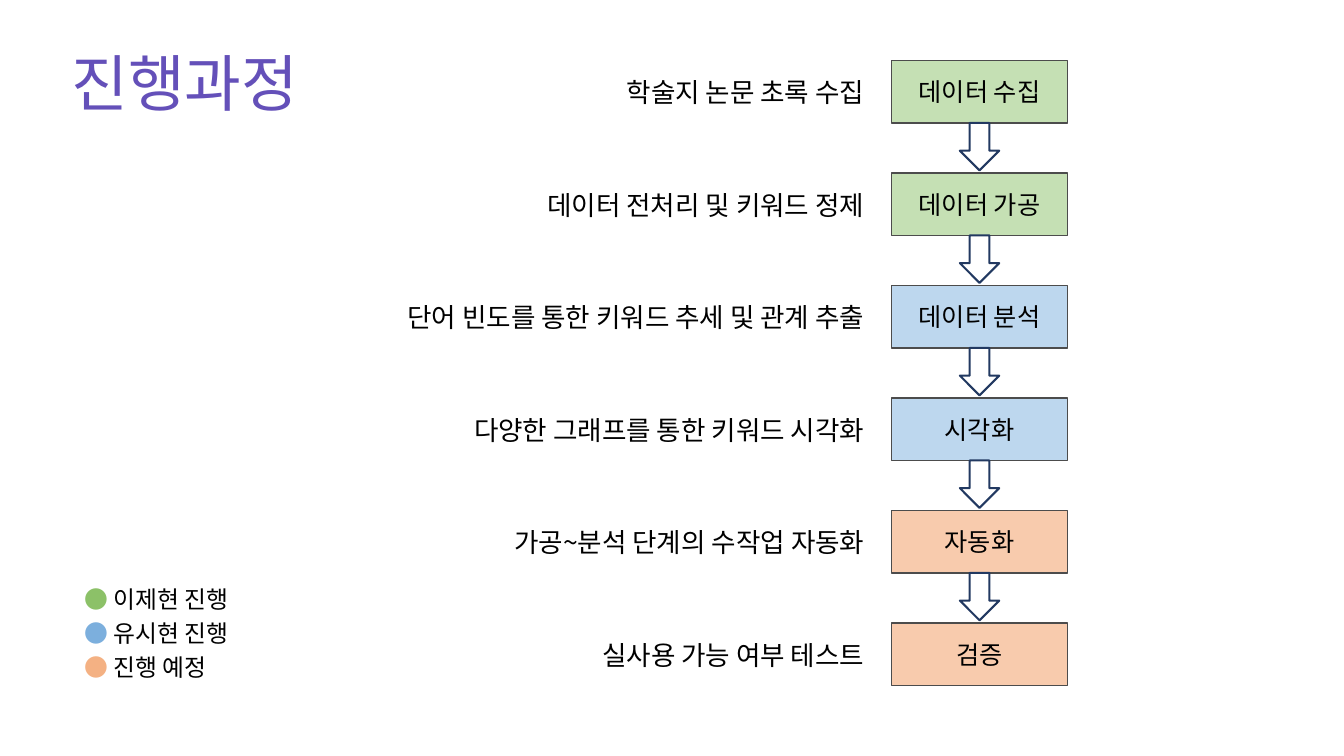
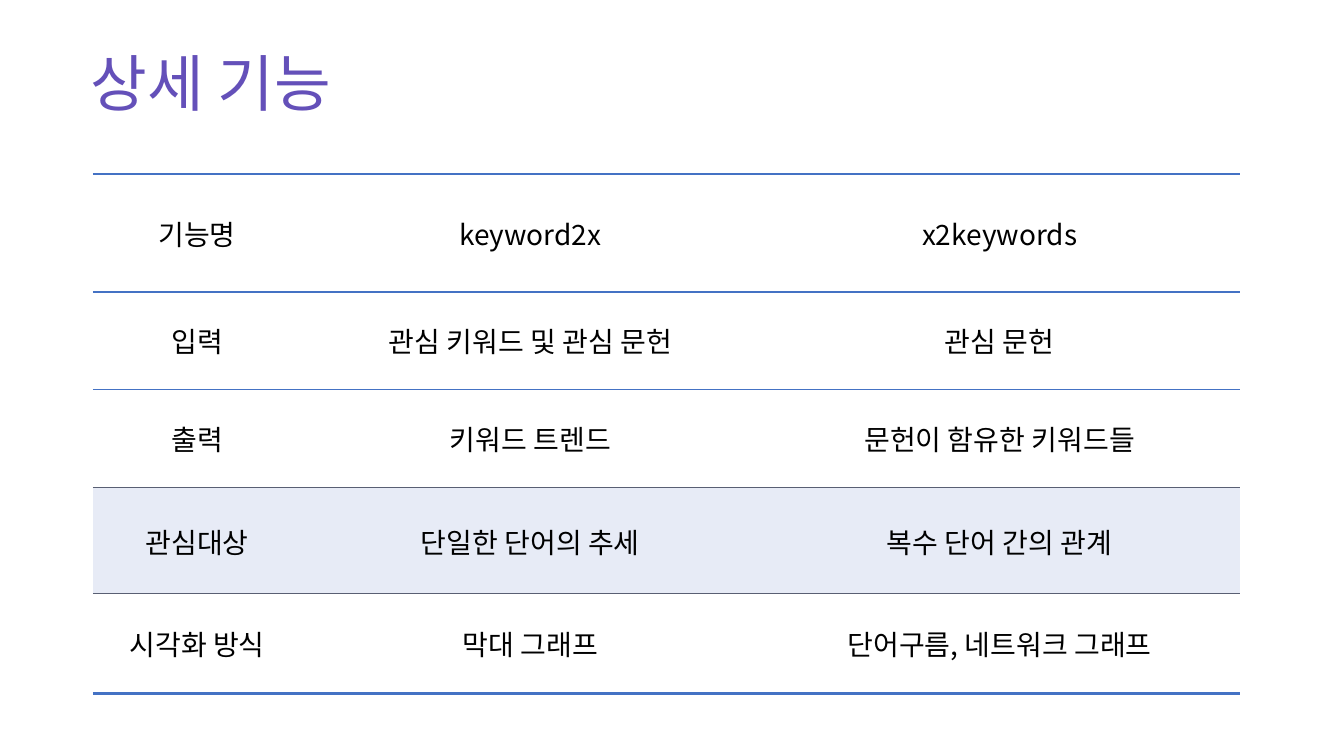
from dataclasses import dataclass
from typing import Optional

import pptx
import pptx.dml.color
import pptx.enum.shapes
import pptx.enum.text
import pptx.oxml
import pptx.oxml.ns
import pptx.util
from lxml import etree

Inches = pptx.util.Inches
Pt = pptx.util.Pt
ALIGN = pptx.enum.text.PP_ALIGN
ANCHOR = pptx.enum.text.MSO_ANCHOR
SHAPE = pptx.enum.shapes.MSO_SHAPE
qn = pptx.oxml.ns.qn


@dataclass(frozen=True)
class Theme:
    font: str = "Noto Sans CJK KR"
    title: str = "6450B9"
    text: str = "000000"
    white: str = "FFFFFF"
    green: str = "C5E0B4"
    blue: str = "BDD7EE"
    orange: str = "F8CBAD"
    green_dot: str = "8CC168"
    blue_dot: str = "7CAFDD"
    orange_dot: str = "F4B183"
    box_line: str = "4C4C4C"
    arrow_line: str = "223961"
    rule: str = "4472C4"
    dark_rule: str = "595F73"
    highlight: str = "E7EBF6"
    title_size: int = 44
    table_size: int = 20
    label_size: int = 19
    box_size: int = 18
    legend_size: int = 17


@dataclass(frozen=True)
class Step:
    name: str
    detail: str
    fill: str


@dataclass(frozen=True)
class LegendItem:
    colour: str
    text: str


@dataclass(frozen=True)
class Rule:
    colour: str
    width: float


@dataclass(frozen=True)
class Row:
    height: float
    texts: tuple[str, ...]
    top: Rule
    bottom: Rule
    fill: Optional[str] = None


T = Theme()

# Process steps and their layout
STEPS = (
    Step("데이터 수집", "학술지 논문 초록 수집", T.green),
    Step("데이터 가공", "데이터 전처리 및 키워드 정제", T.green),
    Step("데이터 분석", "단어 빈도를 통한 키워드 추세 및 관계 추출", T.blue),
    Step("시각화", "다양한 그래프를 통한 키워드 시각화", T.blue),
    Step("자동화", "가공~분석 단계의 수작업 자동화", T.orange),
    Step("검증", "실사용 가능 여부 테스트", T.orange),
)
LEGEND = (
    LegendItem(T.green_dot, "이제현 진행"),
    LegendItem(T.blue_dot, "유시현 진행"),
    LegendItem(T.orange_dot, "진행 예정"),
)
BOX_X, BOX_W, BOX_H = 8.84, 1.75, 0.62
FIRST_Y, LAST_Y = 0.6, 6.18
PITCH = (LAST_Y - FIRST_Y) / (len(STEPS) - 1)
ARROW_W, ARROW_H = 0.39, 0.47
LABEL_X, LABEL_W, LABEL_H = 3.22, 5.45, 0.41

# Feature table
THICK = Rule(T.rule, 1.8)
THIN = Rule(T.rule, 0.8)
DARK = Rule(T.dark_rule, 0.8)
COLUMNS = (2.07, 4.54, 4.77)
ROWS = (
    Row(1.17, ("기능명", "keyword2x", "x2keywords"), THICK, THICK),
    Row(0.96, ("입력", "관심 키워드 및 관심 문헌", "관심 문헌"), THICK, THIN),
    Row(0.98, ("출력", "키워드 트렌드", "문헌이 함유한 키워드들"), THIN, DARK),
    Row(1.05, ("관심대상", "단일한 단어의 추세", "복수 단어 간의 관계"),
        DARK, DARK, T.highlight),
    Row(0.99, ("시각화 방식", "막대 그래프", "단어구름, 네트워크 그래프"), DARK, THICK),
)


def rgb(colour: str) -> pptx.dml.color.RGBColor:
    return pptx.dml.color.RGBColor.from_string(colour)


def add_run(p, text: str, size: int, colour: str = T.text) -> None:
    r = p.add_run()
    r.text = text
    r.font.name = T.font
    r.font.size = Pt(size)
    r.font.color.rgb = rgb(colour)
    # East Asian text has its own font setting
    latin = r.font._element.find(qn("a:latin"))
    ea = etree.Element(qn("a:ea"), typeface=T.font)
    latin.addnext(ea)


def add_titled_slide(prs, title: str, x: float):
    s = prs.slides.add_slide(prs.slide_layouts[5])
    sp = s.shapes.title
    sp.left, sp.top = Inches(x), Inches(0.4)
    sp.width, sp.height = Inches(11.5), Inches(0.92)
    tf = sp.text_frame
    tf.auto_size = pptx.enum.text.MSO_AUTO_SIZE.NONE
    tf.vertical_anchor = ANCHOR.MIDDLE
    p = tf.paragraphs[0]
    p.alignment = ALIGN.LEFT
    p.line_spacing = 0.9
    add_run(p, title, T.title_size, T.title)
    return s


def add_shape(s, kind, x: float, y: float, w: float, h: float,
              fill: str, line: str, line_width: float):
    sp = s.shapes.add_shape(kind, Inches(x), Inches(y), Inches(w), Inches(h))
    sp.shadow.inherit = False
    sp.fill.solid()
    sp.fill.fore_color.rgb = rgb(fill)
    sp.line.color.rgb = rgb(line)
    sp.line.width = Pt(line_width)
    return sp


def add_text_frame(s, x: float, y: float, w: float, h: float):
    tf = s.shapes.add_textbox(Inches(x), Inches(y), Inches(w), Inches(h)).text_frame
    tf.word_wrap = True
    return tf


def add_step(s, step: Step, y: float) -> None:
    sp = add_shape(s, SHAPE.RECTANGLE, BOX_X, y, BOX_W, BOX_H,
                   step.fill, T.box_line, 1)
    tf = sp.text_frame
    tf.vertical_anchor = ANCHOR.MIDDLE
    p = tf.paragraphs[0]
    p.alignment = ALIGN.CENTER
    add_run(p, step.name, T.box_size)

    label_y = y + (BOX_H - LABEL_H) / 2
    p = add_text_frame(s, LABEL_X, label_y, LABEL_W, LABEL_H).paragraphs[0]
    p.alignment = ALIGN.RIGHT
    add_run(p, step.detail, T.label_size)


def add_legend(s) -> None:
    tf = add_text_frame(s, 0.74, 5.69, 2.88, 1.12)
    for i, item in enumerate(LEGEND):
        p = tf.add_paragraph() if i else tf.paragraphs[0]
        p.line_spacing = 1.2
        add_run(p, "●", T.legend_size, item.colour)
        add_run(p, " " + item.text, T.legend_size)


def set_borders(cell, top: Rule, bottom: Rule) -> None:
    tc_pr = cell._tc.get_or_add_tcPr()
    edges = (("L", None), ("R", None), ("T", top), ("B", bottom))
    for i, (side, rule) in enumerate(edges):
        ln = etree.Element(qn(f"a:ln{side}"))
        if rule is None:
            etree.SubElement(ln, qn("a:noFill"))
        else:
            ln.set("w", str(int(Pt(rule.width))))
            fill = etree.SubElement(ln, qn("a:solidFill"))
            etree.SubElement(fill, qn("a:srgbClr"), val=rule.colour)
        tc_pr.insert(i, ln)


def add_feature_table(s, x: float, y: float) -> None:
    height = sum(row.height for row in ROWS)
    table = s.shapes.add_table(len(ROWS), len(COLUMNS), Inches(x), Inches(y),
                               Inches(sum(COLUMNS)), Inches(height)).table
    table.first_row = table.horz_banding = False
    for column, width in zip(table.columns, COLUMNS):
        column.width = Inches(width)
    for i, row in enumerate(ROWS):
        table.rows[i].height = Inches(row.height)
        for j, text in enumerate(row.texts):
            cell = table.cell(i, j)
            cell.vertical_anchor = ANCHOR.MIDDLE
            if row.fill:
                cell.fill.solid()
                cell.fill.fore_color.rgb = rgb(row.fill)
            else:
                cell.fill.background()
            set_borders(cell, row.top, row.bottom)
            p = cell.text_frame.paragraphs[0]
            p.alignment = ALIGN.CENTER
            add_run(p, text, T.table_size)


def build_process_slide(prs) -> None:
    s = add_titled_slide(prs, "진행과정", 0.61)
    for i, step in enumerate(STEPS):
        y = FIRST_Y + i * PITCH
        add_step(s, step, y)
        if i < len(STEPS) - 1:
            add_shape(s, SHAPE.DOWN_ARROW, BOX_X + (BOX_W - ARROW_W) / 2,
                      y + BOX_H, ARROW_W, ARROW_H, T.white, T.arrow_line, 1.5)
    add_legend(s)


def build_feature_slide(prs) -> None:
    s = add_titled_slide(prs, "상세 기능", 0.8)
    add_feature_table(s, 0.92, 1.73)


def main() -> None:
    prs = pptx.Presentation()
    prs.slide_width, prs.slide_height = Inches(13.33), Inches(7.5)
    build_process_slide(prs)
    build_feature_slide(prs)
    prs.save("out.pptx")


if __name__ == "__main__":
    main()
